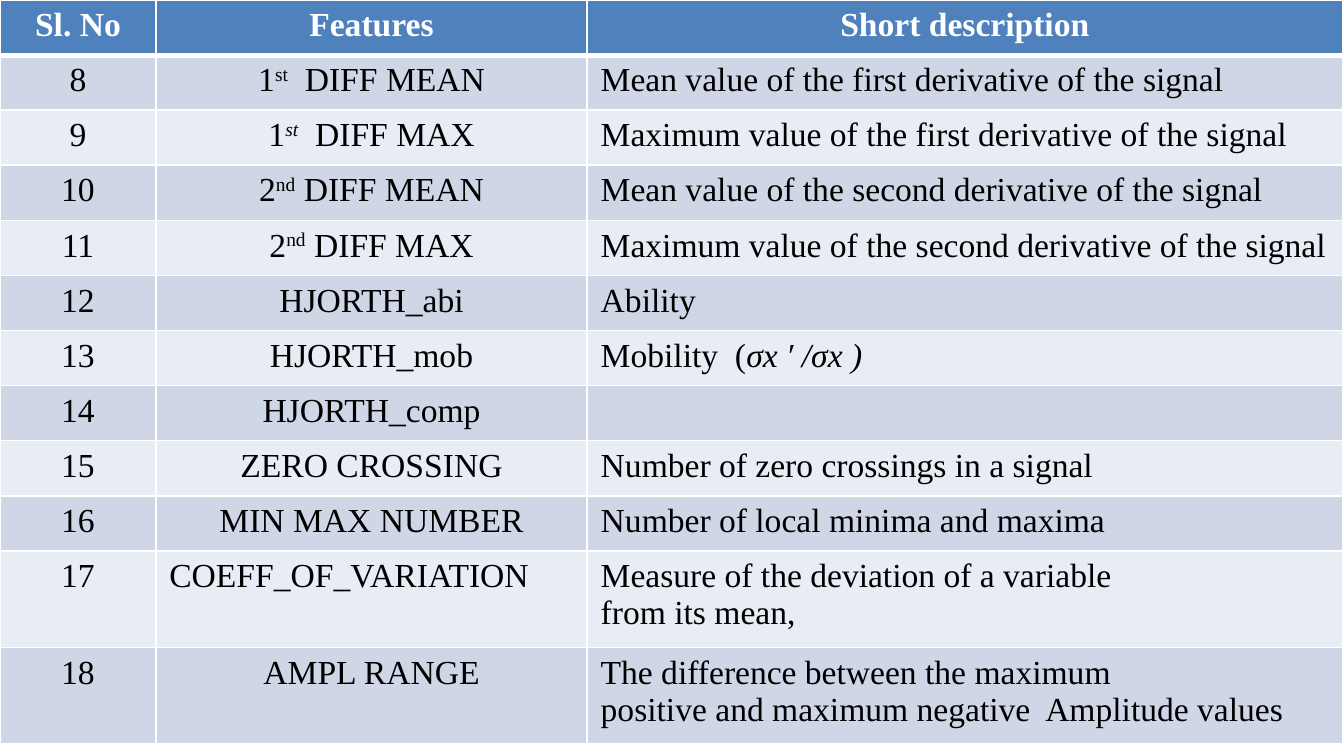
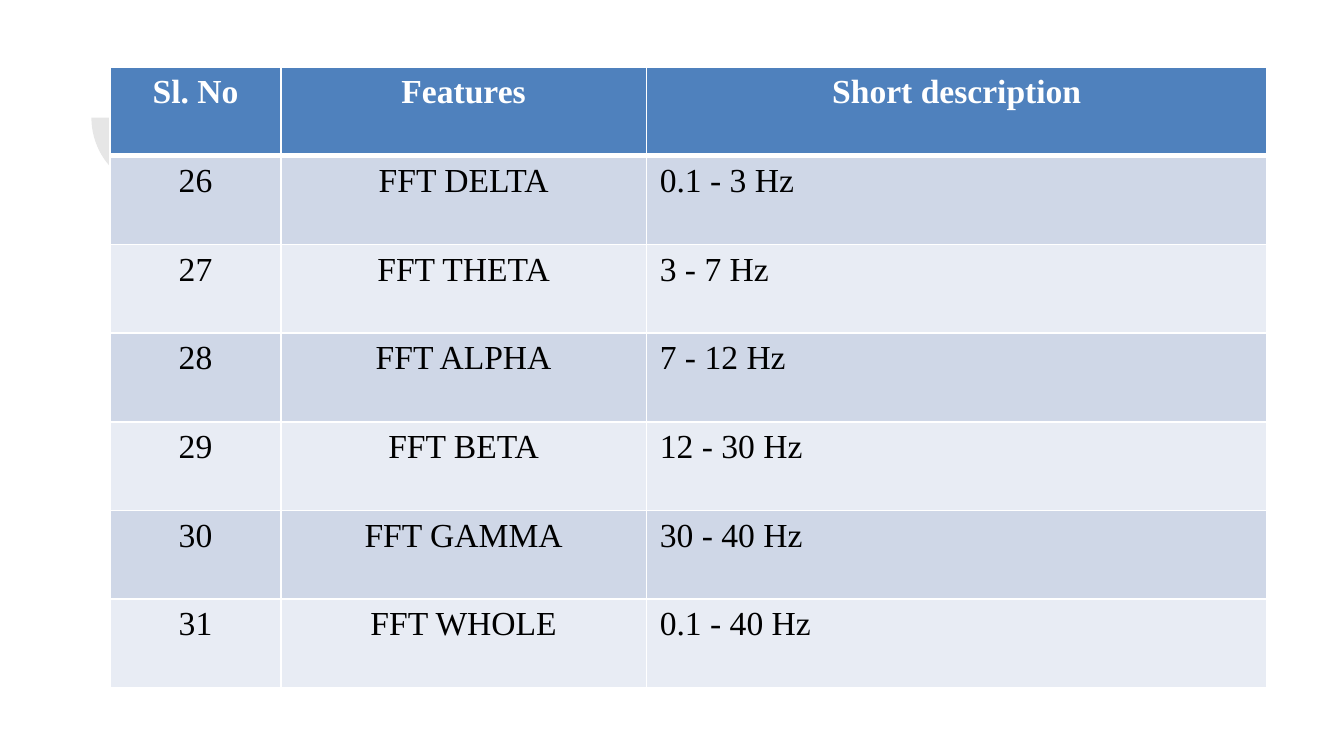
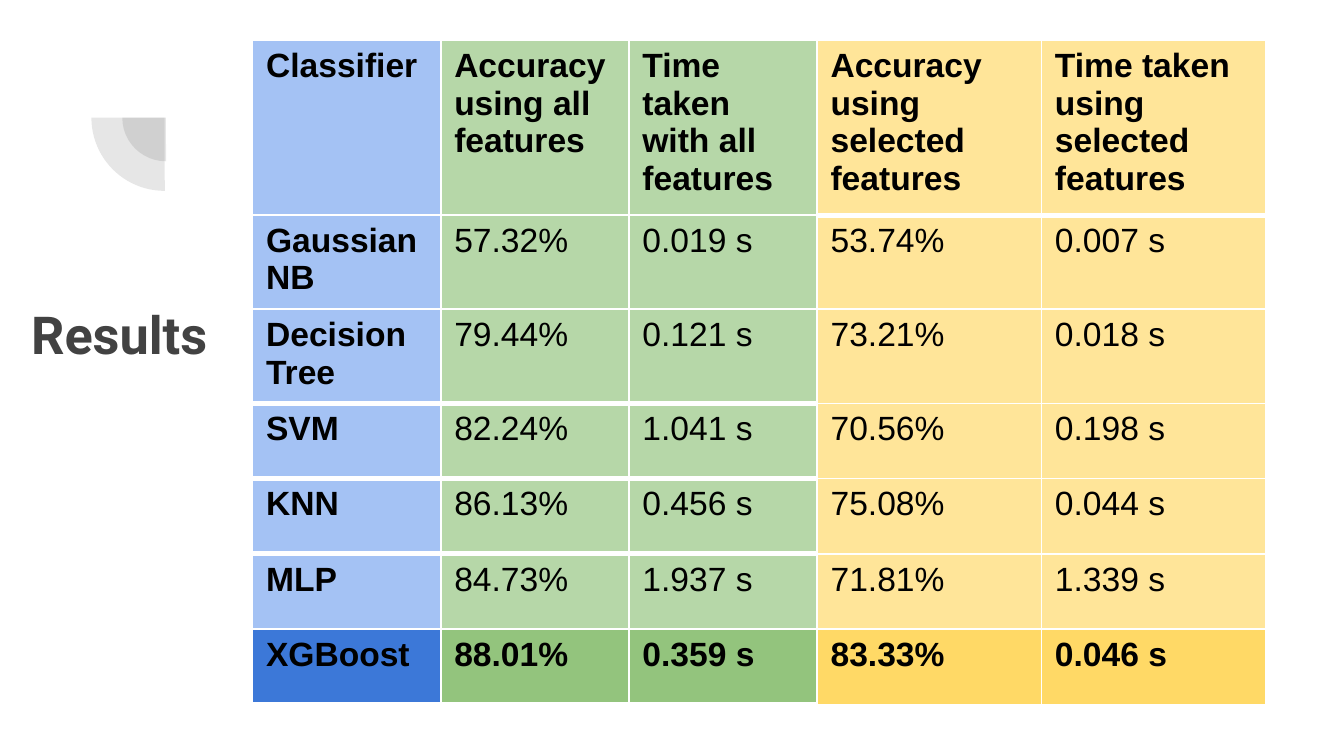
from lxml import etree
from pptx import Presentation
from pptx import util as u
from pptx.dml.color import RGBColor
from pptx.enum import shapes, text
from pptx.oxml import ns


class Theme:
    serif, sans, title_font = "Times New Roman", "Arial", "Roboto"
    body_size, title_size = 18, 28
    thin, thick = 1, 3
    frame_side = 3.28
    white, black, grey = "FFFFFF", "000000", "424242"
    header, bands = "4F81BD", ("E8ECF4", "CFD7E7")
    columns = ("A4C2F4", "B6D7A8", "B6D7A8", "FFE599", "FFE599")
    best = ("3C78D8", "93C47D", "93C47D", "FFD966", "FFD966")


def put_text(tf, content, font=Theme.serif, size=Theme.body_size,
             color=Theme.black, bold=False, align="LEFT"):
    paragraphs = [[(line, "")] for line in content.split("\n")] if isinstance(content, str) else [content]
    for i, runs in enumerate(paragraphs):
        p = tf.add_paragraph() if i else tf.paragraphs[0]
        p.alignment = getattr(text.PP_ALIGN, align)
        for words, style in runs:
            if not words:
                continue
            r = p.add_run()
            r.text = words
            r.font.name = font
            r.font.size = u.Pt(size)
            r.font.bold = bold
            r.font.italic = "italic" in style
            r.font.color.rgb = RGBColor.from_string(color)
            if "super" in style:
                r._r.get_or_add_rPr().set("baseline", "30000")


def add_grid(s, left, top, widths, heights, fills, thick):
    side = u.Inches(Theme.frame_side)
    frame = s.shapes.add_table(len(heights), len(widths), u.Inches(left), u.Inches(top), side, side)
    table = frame.table
    table.first_row = table.horz_banding = False
    for column, width in zip(table.columns, widths):
        column.width = u.Inches(width)
    for row, height in zip(table.rows, heights):
        row.height = u.Inches(height)
    frame.width = frame.height = side
    for i in range(len(heights)):
        for j in range(len(widths)):
            cell = table.cell(i, j)
            tcPr = cell._tc.get_or_add_tcPr()
            for edge, heavy in (("L", False), ("R", False),
                                ("T", (i - 1, j) in thick), ("B", (i, j) in thick)):
                ln = etree.SubElement(tcPr, ns.qn(f"a:ln{edge}"),
                                      w=str(u.Pt(Theme.thick if heavy else Theme.thin)))
                fill = etree.SubElement(ln, ns.qn("a:solidFill"))
                etree.SubElement(fill, ns.qn("a:srgbClr"), val=Theme.white)
            cell.fill.solid()
            cell.fill.fore_color.rgb = RGBColor.from_string(fills[i][j])
    return table


prs = Presentation()
prs.slide_width = u.Inches(10)
prs.slide_height = prs.slide_width * 9 // 16
layout = prs.slide_layouts[6]
time_slide, band_slide, results_slide = [prs.slides.add_slide(layout) for _ in range(3)]

for left, top, size in ((0.91, 0.55, 0.65), (0.68, 0.33, 1.09)):
    sp = time_slide.shapes.add_shape(shapes.MSO_SHAPE.PIE, u.Inches(left), u.Inches(top),
                                     u.Inches(size), u.Inches(size))
    sp.adjustments[0], sp.adjustments[1] = 107.93, 162
    sp.rotation = 270
    sp.shadow.inherit = False
    sp.line.fill.background()
    sp.fill.solid()
    sp.fill.fore_color.rgb = RGBColor.from_string(Theme.grey)
    clr = sp.element.spPr.find(".//" + ns.qn("a:srgbClr"))
    etree.SubElement(clr, ns.qn("a:alpha"), val="13000")
    layout.shapes.element.append(sp.element)

headings = ("Sl. No", "Features", "Short description")
time_features = [
    ([("1", ""), ("st", "super"), ("  DIFF MEAN", "")], "Mean value of the first derivative of the signal"),
    ([("1", ""), ("st", "super italic"), ("  DIFF MAX", "")], "Maximum value of the first derivative of the signal"),
    ([("2", ""), ("nd", "super"), (" DIFF MEAN", "")], "Mean value of the second derivative of the signal"),
    ([("2", ""), ("nd", "super"), (" DIFF MAX", "")], "Maximum value of the second derivative of the signal"),
    ("HJORTH_abi", "Ability"),
    ("HJORTH_mob", [("Mobility  (", ""), ("σx ′ /σx )", "italic")]),
    ("HJORTH_comp", ""),
    ("ZERO CROSSING", "Number of zero crossings in a signal"),
    ("MIN MAX NUMBER", "Number of local minima and maxima"),
    ("COEFF_OF_VARIATION", "Measure of the deviation of a variable\nfrom its mean,"),
    ("AMPL RANGE", "The difference between the maximum\npositive and maximum negative  Amplitude values"),
]
band_features = [
    ("FFT DELTA", "0.1 - 3 Hz"),
    ("FFT THETA", "3 - 7 Hz"),
    ("FFT ALPHA", "7 - 12 Hz"),
    ("FFT BETA", "12 - 30 Hz"),
    ("FFT GAMMA", "30 - 40 Hz"),
    ("FFT WHOLE", "0.1 - 40 Hz"),
]

for s, left, top, widths, heights, first, features in (
    (time_slide, 0, 0, (1.16, 3.21, 5.62), [0.41] * 10 + [0.72] * 2, 8, time_features),
    (band_slide, 0.82, 0.5, (1.27, 2.72, 4.62), [0.66] * 7, 26, band_features),
):
    fills = [[Theme.header] * 3] + [[Theme.bands[i % 2]] * 3 for i in range(1, len(heights))]
    table = add_grid(s, left, top, widths, heights, fills, {(0, j) for j in range(3)})
    for j, heading in enumerate(headings):
        put_text(table.cell(0, j).text_frame, heading, color=Theme.white, bold=True, align="CENTER")
    for i, (feature, description) in enumerate(features, 1):
        put_text(table.cell(i, 0).text_frame, str(first + i - 1), align="CENTER")
        put_text(table.cell(i, 1).text_frame, feature,
                 align="LEFT" if feature == "COEFF_OF_VARIATION" else "CENTER")
        put_text(table.cell(i, 2).text_frame, description)

title = results_slide.shapes.add_textbox(u.Inches(-2.91), u.Inches(2.15), u.Inches(7.69), u.Inches(1.09))
tf = title.text_frame
tf.word_wrap = True
tf.margin_left = tf.margin_right = tf.margin_top = tf.margin_bottom = u.Inches(0.1)
put_text(tf, "Results ", font=Theme.title_font, size=Theme.title_size,
         color=Theme.grey, bold=True, align="CENTER")

results = [
    ("Classifier", "Accuracy using all features", "Time taken with all features",
     "Accuracy using selected features", "Time taken using selected features"),
    ("GaussianNB", "57.32%", "0.019 s", "53.74%", "0.007 s"),
    ("Decision Tree", "79.44%", "0.121 s", "73.21%", "0.018 s"),
    ("SVM", "82.24%", "1.041 s", "70.56%", "0.198 s"),
    ("KNN", "86.13%", "0.456 s", "75.08%", "0.044 s"),
    ("MLP", "84.73%", "1.937 s", "71.81%", "1.339 s"),
    ("XGBoost", "88.01%", "0.359 s", "83.33%", "0.046 s"),
]
last = len(results) - 1
thick = {(0, 3), (0, 4)} | {(i, j) for i in (2, 3, 4, last) for j in range(3)}
table = add_grid(results_slide, 1.88, 0.3, (1.4, 1.4, 1.4, 1.67, 1.67), [0.75] + [0.56] * last,
                 [Theme.columns] * last + [Theme.best], thick)
for i, row in enumerate(results):
    for j, value in enumerate(row):
        put_text(table.cell(i, j).text_frame, value, font=Theme.sans, bold=i in (0, last) or j == 0)

prs.save("out.pptx")
